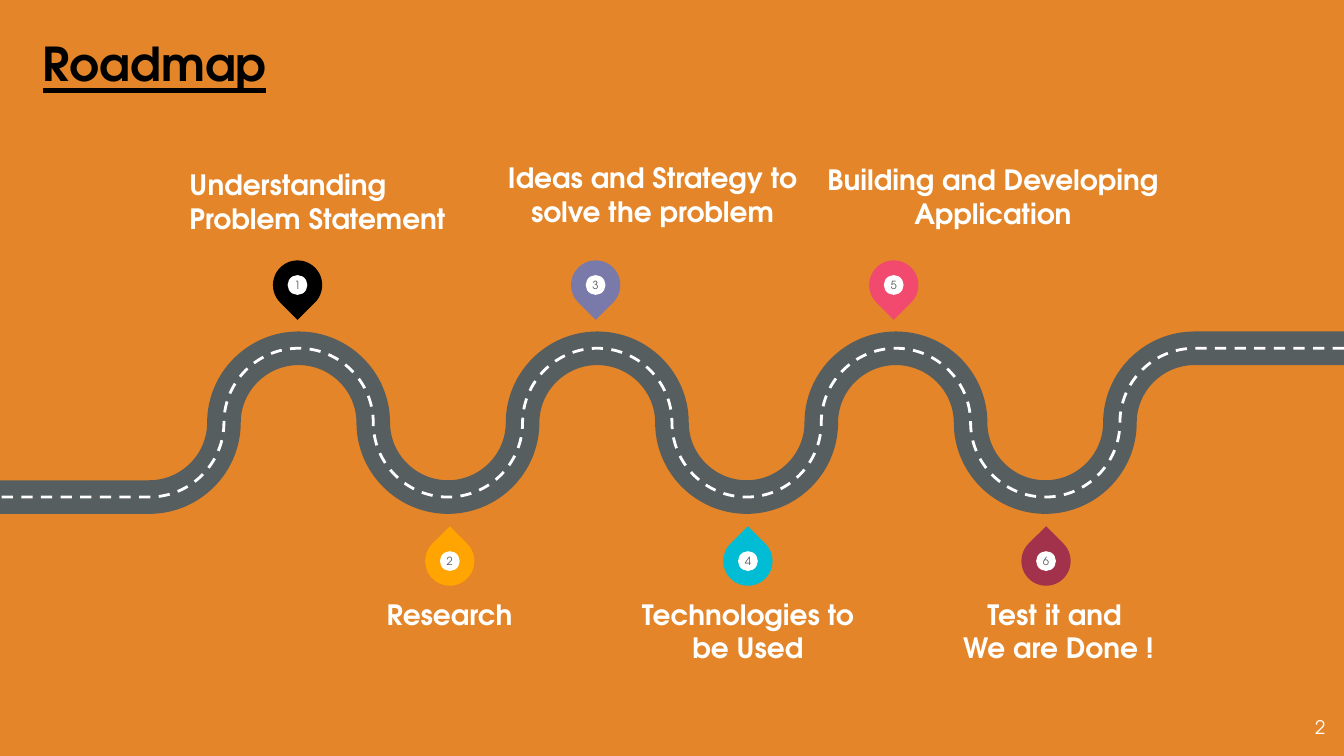
import lxml.etree
import pptx
import pptx.dml.color
import pptx.enum.dml
import pptx.enum.shapes
import pptx.enum.text
import pptx.oxml.ns
import pptx.util

Pt = pptx.util.Pt
qn = pptx.oxml.ns.qn
ALIGN = pptx.enum.text.PP_ALIGN
ANCHOR = pptx.enum.text.MSO_ANCHOR
SHAPE = pptx.enum.shapes.MSO_SHAPE
FONT = "TeX Gyre Adventor"
WHITE, ASPHALT, ORANGE = "FFFFFF", "575E5F", "E38528"
ARC = 0.55

STEPS = [
    ("000000", ["Understanding Problem Statement"], (101.5, 74, 151.2, 52), ALIGN.LEFT),
    ("FFA400", ["Research"], (190.1, 319.9, 101.5, 42), ALIGN.CENTER),
    ("7A7AAA", ["Ideas and Strategy to solve the problem"], (265.7, 60, 167.8, 62), ALIGN.CENTER),
    ("00BCD4", ["Technologies to be Used"], (336.2, 319.9, 128.9, 52), ALIGN.CENTER),
    ("F2496F", ["Building and Developing Application"], (427.9, 57, 208.1, 66.1), ALIGN.CENTER),
    ("A2324B", ["Test it and ", "We are Done !"], (509.8, 319.9, 114.5, 42), ALIGN.CENTER),
]


def rgb(color):
    """Turn a hex string into a colour."""
    return pptx.dml.color.RGBColor.from_string(color)


def set_text(sp, lines, size, color, align, anchor, inset=0, bold=False, underline=False):
    """Write one paragraph per line into a shape."""
    tf = sp.text_frame
    tf.word_wrap = True
    tf.auto_size = pptx.enum.text.MSO_AUTO_SIZE.NONE
    tf.vertical_anchor = anchor
    tf.margin_left = tf.margin_right = tf.margin_top = tf.margin_bottom = Pt(inset)
    for i, line in enumerate(lines):
        p = tf.add_paragraph() if i else tf.paragraphs[0]
        p.alignment = align
        r = p.add_run()
        r.text = line
        r.font.name, r.font.size = FONT, Pt(size)
        r.font.bold, r.font.underline = bold, underline
        r.font.color.rgb = rgb(color)


def add_title(s, box, text):
    """Place the slide title in its placeholder."""
    sp = s.shapes.title
    sp.left, sp.top, sp.width, sp.height = map(Pt, box)
    set_text(sp, [text], 25, "000000", ALIGN.LEFT, ANCHOR.TOP, 7.2, True, True)


def add_page_number(s, box, number):
    """Place the page number."""
    sp = s.shapes.add_textbox(*map(Pt, box))
    set_text(sp, [str(number)], 10, WHITE, ALIGN.RIGHT, ANCHOR.MIDDLE, 7.2)


def road_points(box, bends):
    """List the ends of the quarter bends of a road, from right to left."""
    x, y, w, h = box
    pitch = w / (bends + 1)
    heights = (y, y + h / 2, y + h, y + h / 2)
    quarters = 2 * (bends - 1)
    bend_points = [(x + pitch * (bends - i / 2), heights[i % 4]) for i in range(quarters + 1)]
    return [(x + w, y)] + bend_points + [(x, y + h)]


def round_bends(sp):
    """Turn the inner segments of a road into quarter bends."""
    segments = list(sp.element.iter(qn("a:lnTo")))
    ends = [(int(seg[0].get("x")), int(seg[0].get("y"))) for seg in segments]
    for i in range(1, len(segments) - 1):
        (x0, y0), (x1, y1) = ends[i - 1], ends[i]
        dx, dy = ARC * (x1 - x0), ARC * (y1 - y0)
        if i % 2:
            controls = ((x0 + dx, y0), (x1, y1 - dy))
        else:
            controls = ((x0, y0 + dy), (x1 - dx, y1))
        segments[i].tag = qn("a:cubicBezTo")
        for place, (x, y) in enumerate(controls):
            point = lxml.etree.Element(qn("a:pt"), x=str(round(x)), y=str(round(y)))
            segments[i].insert(place, point)


def add_road(s, box, bends):
    """Draw the road and its dashed centre line."""
    points = [(Pt(x), Pt(y)) for x, y in road_points(box, bends)]
    dash = pptx.enum.dml.MSO_LINE.DASH
    for color, width, style in ((ASPHALT, 18, None), (WHITE, 1.5, dash)):
        builder = s.shapes.build_freeform(*points[0], scale=1.0)
        builder.add_line_segments(points[1:], close=False)
        sp = builder.convert_to_shape()
        round_bends(sp)
        sp.shadow.inherit = False
        sp.fill.background()
        sp.line.color.rgb = rgb(color)
        sp.line.width = Pt(width)
        sp.line.dash_style = style


def add_disc(group, kind, box, color):
    """Add a plain filled shape to a group."""
    sp = group.shapes.add_shape(kind, *map(Pt, box))
    sp.shadow.inherit = False
    sp.fill.solid()
    sp.fill.fore_color.rgb = rgb(color)
    sp.line.fill.background()
    return sp


def add_pin(s, box, number, color, rotation):
    """Draw a numbered map pin."""
    x, y, w, h = box
    dot = 10.6
    group = s.shapes.add_group_shape()
    drop = add_disc(group, SHAPE.TEAR, box, color)
    drop.adjustments[0] = 1
    drop.rotation = rotation
    inner = (x + (w - dot) / 2, y + (h - dot) / 2, dot, dot)
    sp = add_disc(group, SHAPE.OVAL, inner, WHITE)
    set_text(sp, [str(number)], 6, ASPHALT, ALIGN.CENTER, ANCHOR.MIDDLE)


def add_caption(s, box, lines, align, anchor):
    """Place the caption of a step."""
    sp = s.shapes.add_textbox(*map(Pt, box))
    set_text(sp, lines, 15, WHITE, align, anchor, bold=True)


def main():
    """Build the roadmap slide."""
    prs = pptx.Presentation()
    prs.slide_width, prs.slide_height = Pt(720), Pt(405)
    s = prs.slides.add_slide(prs.slide_layouts[5])
    s.background.fill.solid()
    s.background.fill.fore_color.rgb = rgb(ORANGE)
    add_title(s, (15.8, 11.5, 141.8, 45.4), "Roadmap")
    add_page_number(s, (673.9, 373.9, 43.2, 31), 2)
    add_road(s, (0, 186.6, 720, 79.7), 8)
    size = 26.4
    for i, (color, lines, box, align) in enumerate(STEPS):
        above = i % 2 == 0
        left, top, rotation = (146.2, 139.5, 135) if above else (227.8, 287.4, 315)
        pin_box = (left + 159.7 * (i // 2), top, size, size)
        add_pin(s, pin_box, i + 1, color, rotation)
        add_caption(s, box, lines, align, ANCHOR.BOTTOM if above else ANCHOR.TOP)
    prs.save("out.pptx")


if __name__ == "__main__":
    main()
